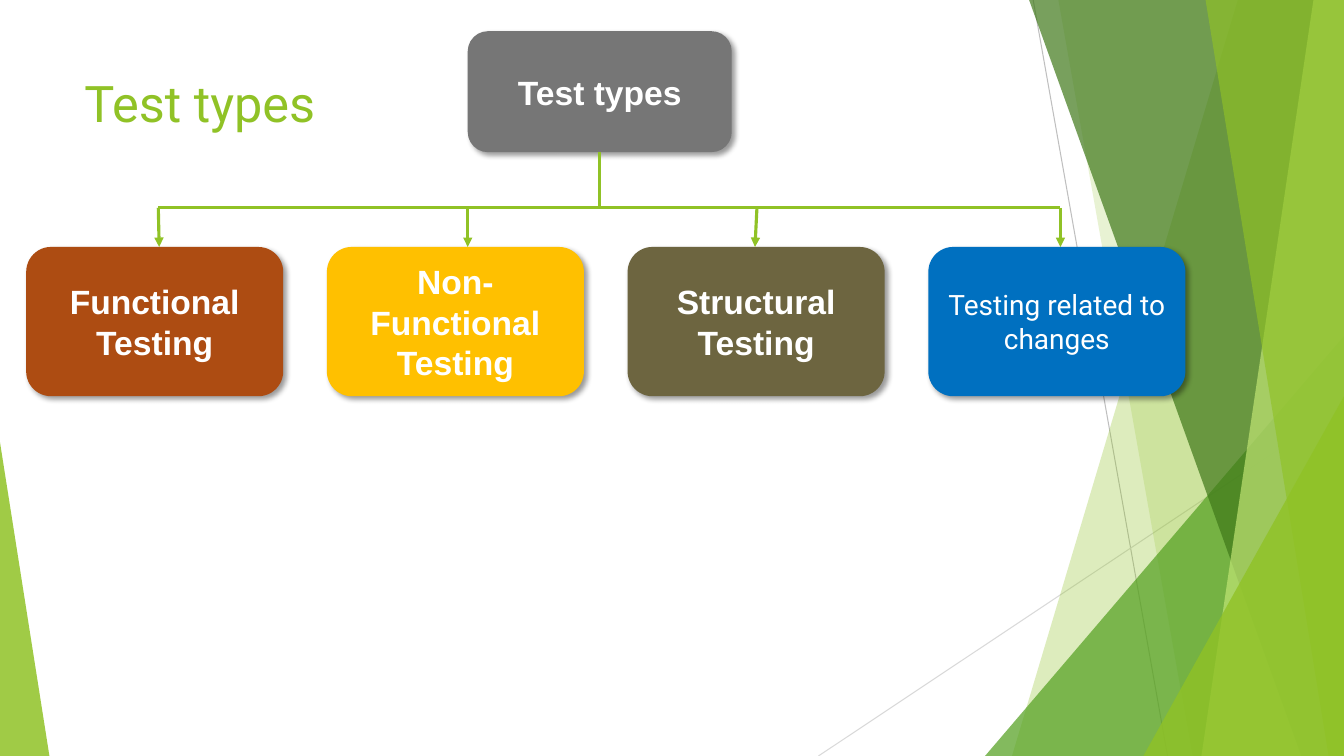
from lxml.etree import SubElement
from pptx import Presentation
from pptx.dml.color import RGBColor
from pptx.enum.shapes import MSO_CONNECTOR, MSO_SHAPE
from pptx.enum.text import MSO_ANCHOR, PP_ALIGN
from pptx.oxml import parse_xml
from pptx.oxml.ns import nsdecls, qn
from pptx.util import Pt

LIME = RGBColor(0x90, 0xC2, 0x26)
GREEN = RGBColor(0x54, 0xA0, 0x21)
FOREST = RGBColor(0x3F, 0x78, 0x19)
PALE = RGBColor(0xC0, 0xE4, 0x74)
SILVER = RGBColor(0xBF, 0xBF, 0xBF)
MIST = RGBColor(0xD9, 0xD9, 0xD9)
GRAY = RGBColor(0x76, 0x76, 0x76)
RUST = RGBColor(0xAD, 0x4C, 0x12)
AMBER = RGBColor(0xFF, 0xC0, 0x00)
OLIVE = RGBColor(0x6D, 0x65, 0x40)
BLUE = RGBColor(0x00, 0x70, 0xC0)
WHITE = RGBColor(0xFF, 0xFF, 0xFF)

SHADOW = (
    f'<a:effectLst {nsdecls("a")}><a:outerShdw blurRad="50800" dist="38100" '
    'dir="2700000" algn="tl" rotWithShape="0"><a:srgbClr val="000000">'
    '<a:alpha val="40000"/></a:srgbClr></a:outerShdw></a:effectLst>'
)


def paint(sp, color, opacity=100):
    """Give a shape a flat fill, without line or shadow."""
    sp.shadow.inherit = False
    sp.line.fill.background()
    sp.fill.solid()
    sp.fill.fore_color.rgb = color
    if opacity < 100:
        clr = sp._element.spPr.find(qn("a:solidFill"))[0]
        SubElement(clr, qn("a:alpha"), val=str(opacity * 1000))


def add_line(slide, start, end, color, width, arrow=False):
    """Draw a straight line between two points, with an arrowhead if asked."""
    cn = slide.shapes.add_connector(
        MSO_CONNECTOR.STRAIGHT, *(Pt(v) for v in (*start, *end)))
    cn.line.color.rgb = color
    cn.line.width = Pt(width)
    if arrow:
        SubElement(cn.line._get_or_add_ln(), qn("a:tailEnd"), type="triangle")
    SubElement(cn._element.spPr, qn("a:effectLst"))


def add_facet(slide, box, top_x, bottom_x, color, opacity):
    """Fill the box to the right of a slanted edge."""
    left, top, width, height = box
    right, bottom = left + width, top + height
    fb = slide.shapes.build_freeform(Pt(left + top_x), Pt(top))
    fb.add_line_segments(
        [(Pt(x), Pt(y)) for x, y in
         ((right, top), (right, bottom), (left + bottom_x, bottom))])
    paint(fb.convert_to_shape(), color, opacity)


def add_wedge(slide, box, apex, color, opacity):
    """Draw a triangle whose apex sits at a share of its width."""
    sp = slide.shapes.add_shape(
        MSO_SHAPE.ISOSCELES_TRIANGLE, *(Pt(v) for v in box))
    sp.adjustments[0] = apex
    paint(sp, color, opacity)


def add_backdrop(slide, box):
    """Draw the overlapping green facets at the sides of the box."""
    left, top, width, height = box
    right, bottom = left + width, top + height
    add_line(slide, (left + 738, top), (left + 834, bottom), SILVER, 0.75)
    add_line(slide, (right, top + 290), (left + 584.6, bottom), MIST, 0.75)
    add_facet(slide, box, 884.2, 722.9, LIME, 30)
    add_facet(slide, box, 756, 851.8, LIME, 20)
    add_wedge(slide, (right - 256.4, bottom - 300, 256.4, 300), 1, GREEN, 72)
    for top_x, bottom_x, color, opacity in (
            (735.1, 929.5, FOREST, 70), (938.2, 858.2, PALE, 70),
            (861.1, 949, LIME, 65)):
        add_facet(slide, box, top_x, bottom_x, color, opacity)
    add_wedge(slide, (right - 143.3, bottom - 257, 143.3, 257), 1, LIME, 80)
    add_wedge(slide, (left, bottom - 224, 35.3, 224), 0, LIME, 85)


def add_title(slide, box, text):
    """Write the slide title at the top of the box."""
    tf = slide.shapes.add_textbox(*(Pt(v) for v in box)).text_frame
    tf.word_wrap = True
    p = tf.paragraphs[0]
    p.text = text
    p.font.name, p.font.size = "Roboto", Pt(36)
    p.font.color.rgb = LIME


def add_node(slide, box, text, color, font="Arial", size=24, bold=True):
    """Draw a rounded, shadowed box with centred text."""
    sp = slide.shapes.add_shape(
        MSO_SHAPE.ROUNDED_RECTANGLE, *(Pt(v) for v in box))
    paint(sp, color)
    spPr = sp._element.spPr
    spPr.replace(spPr.find(qn("a:effectLst")), parse_xml(SHADOW))
    tf = sp.text_frame
    tf.word_wrap = True
    tf.vertical_anchor = MSO_ANCHOR.MIDDLE
    p = tf.paragraphs[0]
    p.text = text
    p.alignment = PP_ALIGN.CENTER
    p.font.name, p.font.size, p.font.bold = font, Pt(size), bold
    p.font.color.rgb = WHITE


def add_tree(slide, box):
    """Draw the root, the four test types and the lines between them."""
    left, top, width, height = box
    node_w, node_h, root_w, root_h = 183.6, 106.6, 188.6, 86.4
    pitch = (width - node_w) / 3
    node_top = top + height - node_h
    root_left = left + 315.4
    root_x = root_left + root_w / 2
    bus_y = node_top - 28
    add_node(slide, (root_left, top, root_w, root_h), "Test types", GRAY)
    nodes = (
        ("Functional Testing", RUST),
        ("Non-Functional Testing", AMBER),
        ("Structural Testing", OLIVE),
        ("Testing related to changes", BLUE, "Roboto", 20, False),
    )
    for i, node in enumerate(nodes):
        add_node(slide, (left + i * pitch, node_top, node_w, node_h), *node)

    drops = ((94.4, 95), (315.4, 315.4), (522, 520.6), (738.8, 738.8))
    add_line(slide, (root_x, top + root_h), (root_x, bus_y), LIME, 2.25)
    add_line(slide, (left + drops[0][0], bus_y),
             (left + drops[-1][0], bus_y), LIME, 2.25)
    for start_x, end_x in drops:
        add_line(slide, (left + start_x, bus_y),
                 (left + end_x, node_top), LIME, 2.25, arrow=True)


def main():
    """Build the slide and save it."""
    prs = Presentation()
    prs.slide_width, prs.slide_height = Pt(960), Pt(540)
    s = prs.slides.add_slide(prs.slide_layouts[6])
    add_backdrop(s, (0, 0, 960, 540))
    add_title(s, (53.3, 48.2, 676.8, 103.7), "Test types")
    add_tree(s, (18.7, 22.3, 828, 260.7))
    prs.save("out.pptx")


if __name__ == "__main__":
    main()
